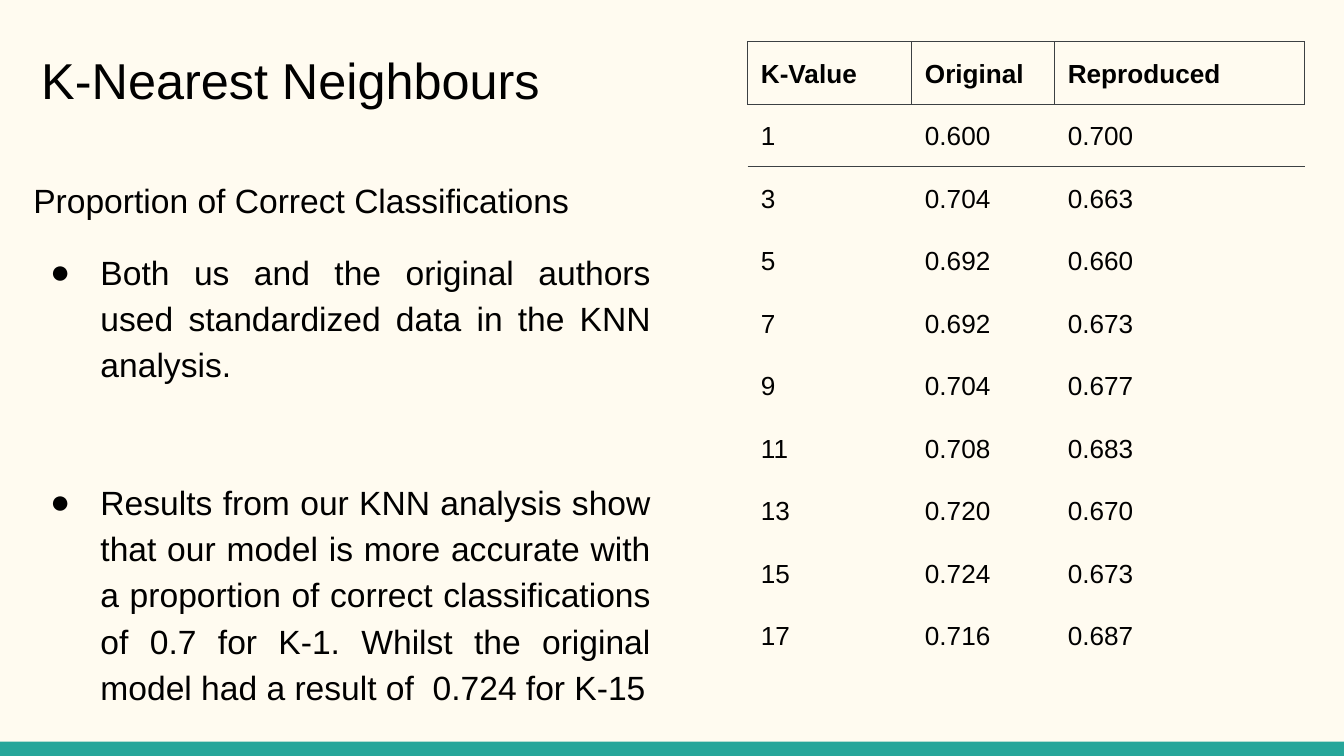
"""Build the K-Nearest Neighbours results slide."""
from lxml import etree
from pptx import Presentation
from pptx.dml.color import RGBColor
from pptx.enum.shapes import MSO_SHAPE
from pptx.enum.text import MSO_ANCHOR, PP_ALIGN
from pptx.oxml.ns import qn
from pptx.util import Cm, Pt

RECTANGLE = MSO_SHAPE.RECTANGLE
TOP, BOTTOM = MSO_ANCHOR.TOP, MSO_ANCHOR.BOTTOM
JUSTIFY = PP_ALIGN.JUSTIFY

FONT = "Arial"
BACKGROUND, TEAL, BLACK, BORDER = "FFFBF0", "26A69A", "000000", "3C4043"
WIDTH, HEIGHT, BAR_HEIGHT = 25.4, 14.29, 0.27
INSET = 0.25
LINE_SPACING = 1.15

TITLE = "K-Nearest Neighbours"
SUBTITLE = "Proportion of Correct Classifications"
BULLETS = [
    "Both us and the original authors used standardized data in the KNN analysis.",
    "Results from our KNN analysis show that our model is more accurate with a "
    "proportion of correct classifications of 0.7 for K-1. Whilst the original "
    "model had a result of  0.724 for K-15",
]
BULLET_GAP = 48.8

HEADERS = ("K-Value", "Original", "Reproduced")
RESULTS = [
    ("1", "0.600", "0.700"),
    ("3", "0.704", "0.663"),
    ("5", "0.692", "0.660"),
    ("7", "0.692", "0.673"),
    ("9", "0.704", "0.677"),
    ("11", "0.708", "0.683"),
    ("13", "0.720", "0.670"),
    ("15", "0.724", "0.673"),
    ("17", "0.716", "0.687"),
]
TABLE_LEFT, TABLE_TOP, ROW_HEIGHT = 14.13, 0.79, 1.14
COLUMN_WIDTHS = (3.1, 2.7, 4.73)
ROW_BORDERS = {0: "LRTB", 1: "TB", 2: "T"}


def color(value):
    return RGBColor.from_string(value)


def format_runs(paragraph, size, bold=False):
    for run in paragraph.runs:
        run.font.name = FONT
        run.font.size = Pt(size)
        run.font.bold = bold
        run.font.color.rgb = color(BLACK)


def add_text(slide, box, lines, size, anchor, bottom_inset=INSET):
    shape = slide.shapes.add_textbox(*map(Cm, box))
    frame = shape.text_frame
    frame.word_wrap = True
    frame.vertical_anchor = anchor
    frame.margin_left = frame.margin_right = frame.margin_top = Cm(INSET)
    frame.margin_bottom = Cm(bottom_inset)
    frame.text = "\n".join(lines)
    for paragraph in frame.paragraphs:
        format_runs(paragraph, size)
    return frame


def add_bullet(paragraph):
    properties = paragraph._p.get_or_add_pPr()
    properties.set("marL", str(Cm(1.27)))
    properties.set("indent", str(-Cm(0.95)))
    bullet_color = etree.SubElement(properties, qn("a:buClr"))
    etree.SubElement(bullet_color, qn("a:srgbClr"), val=BLACK)
    etree.SubElement(properties, qn("a:buFont"), typeface=FONT)
    etree.SubElement(properties, qn("a:buChar"), char="●")


def set_borders(cell, visible):
    properties = cell._tc.get_or_add_tcPr()
    for side in "LRTB":
        line = etree.SubElement(properties, qn(f"a:ln{side}"), w=str(Pt(0.75)))
        if side in visible:
            fill = etree.SubElement(line, qn("a:solidFill"))
            etree.SubElement(fill, qn("a:srgbClr"), val=BORDER)
        else:
            etree.SubElement(line, qn("a:noFill"))


def add_results_table(slide):
    rows = [HEADERS, *RESULTS]
    table = slide.shapes.add_table(
        len(rows), len(HEADERS), Cm(TABLE_LEFT), Cm(TABLE_TOP),
        Cm(sum(COLUMN_WIDTHS)), Cm(ROW_HEIGHT * len(rows))).table
    table.first_row = table.horz_banding = False
    for column, width in zip(table.columns, COLUMN_WIDTHS):
        column.width = Cm(width)
    for row_index, values in enumerate(rows):
        table.rows[row_index].height = Cm(ROW_HEIGHT)
        for column_index, value in enumerate(values):
            cell = table.cell(row_index, column_index)
            cell.margin_left = cell.margin_right = Cm(INSET)
            cell.margin_top = cell.margin_bottom = Cm(INSET)
            cell.text = value
            paragraph = cell.text_frame.paragraphs[0]
            paragraph.line_spacing = LINE_SPACING
            format_runs(paragraph, 14, bold=row_index == 0)
            set_borders(cell, ROW_BORDERS.get(row_index, ""))
            cell.fill.background()


def main():
    presentation = Presentation()
    presentation.slide_width, presentation.slide_height = Cm(WIDTH), Cm(HEIGHT)
    slide = presentation.slides.add_slide(presentation.slide_layouts[6])
    slide.background.fill.solid()
    slide.background.fill.fore_color.rgb = color(BACKGROUND)

    bar = slide.shapes.add_shape(
        RECTANGLE, 0, Cm(HEIGHT - BAR_HEIGHT), Cm(WIDTH), Cm(BAR_HEIGHT))
    bar.shadow.inherit = False
    bar.fill.solid()
    bar.fill.fore_color.rgb = color(TEAL)
    bar.line.fill.background()

    add_text(slide, (0.38, 2.84, 11.73, 1.7), [SUBTITLE], 18, BOTTOM, 0.37)
    add_results_table(slide)
    body = add_text(slide, (0.38, 4.39, 12.17, 9.17), BULLETS, 18, TOP)
    for index, paragraph in enumerate(body.paragraphs):
        paragraph.alignment = JUSTIFY
        paragraph.line_spacing = LINE_SPACING
        paragraph.space_before = Pt(BULLET_GAP if index else 0)
        add_bullet(paragraph)
    add_text(slide, (0.53, 0.66, 11.84, 1.7), [TITLE], 27, BOTTOM, 0.29)

    presentation.save("out.pptx")


if __name__ == "__main__":
    main()
